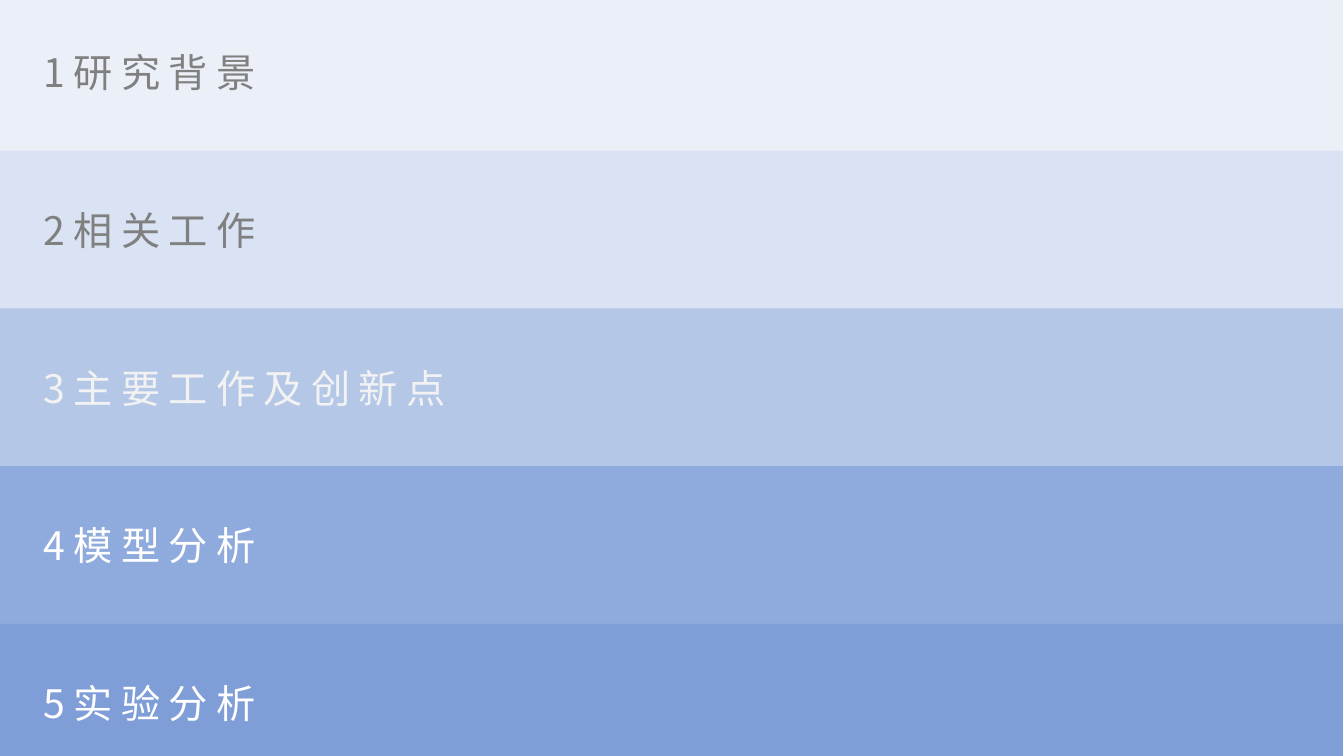
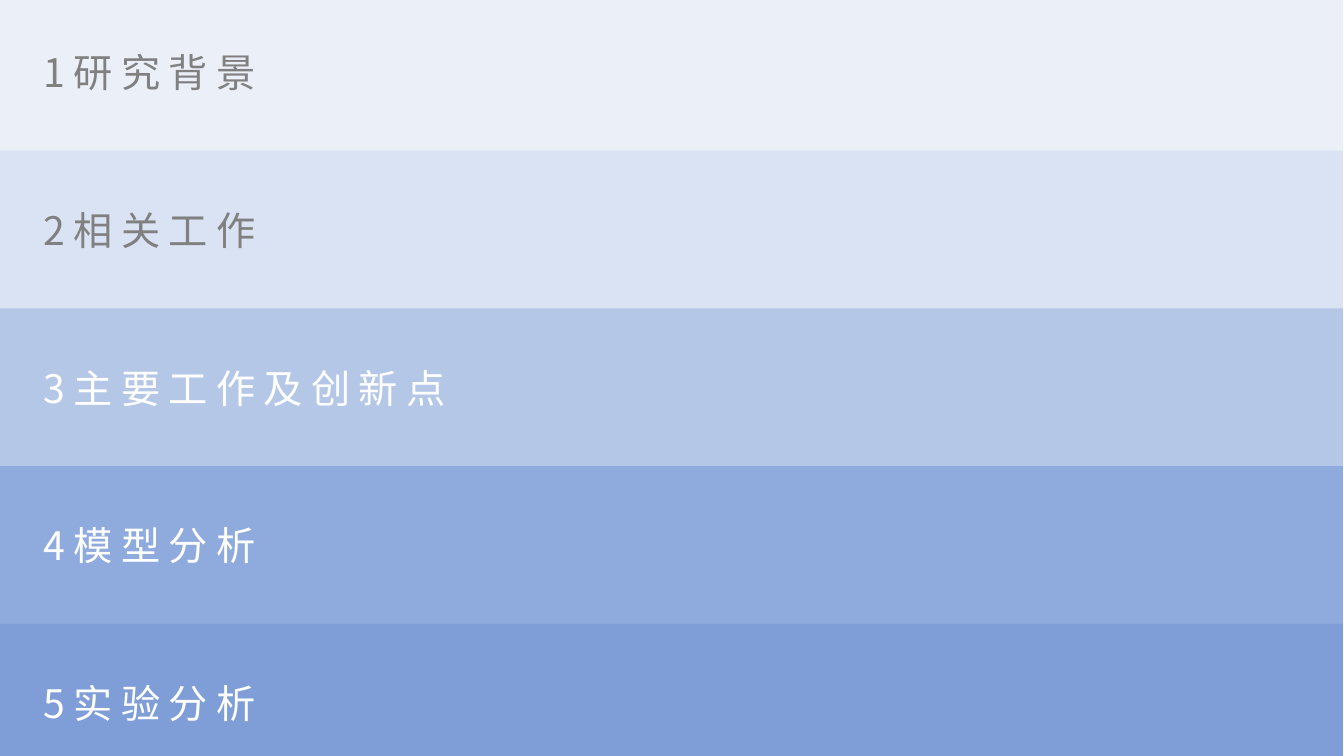
import lxml.etree
import pptx
import pptx.dml.color
import pptx.enum.shapes
import pptx.enum.text
import pptx.oxml.ns
import pptx.util

Inches = pptx.util.Inches

COLORS = {
    "band_1": "EBEFF8",
    "band_2": "DAE3F3",
    "band_3": "B4C7E7",
    "band_4": "8FAADC",
    "band_5": "7F9ED7",
    "gray": "808080",
    "light_gray": "F2F2F2",
    "white": "FFFFFF",
}
FONT_NAME = "Noto Sans CJK SC"
LETTER_SPACING = 6
LABEL_FORMAT = {"size": pptx.util.Pt(28), "name": FONT_NAME}
FRAME_FORMAT = {
    "word_wrap": True,
    "vertical_anchor": pptx.enum.text.MSO_ANCHOR.MIDDLE,
    "margin_left": Inches(0.44),
}

SECTIONS = ["研究背景", "相关工作", "主要工作及创新点", "模型分析", "实验分析"]
# One label colour per section, for each slide.
AGENDA_SLIDES = [
    ["gray", "gray", "light_gray", "white", "white"],
    ["gray", "gray", "white", "white", "white"],
]

SLIDE_WIDTH, SLIDE_HEIGHT = 13.33, 7.5
BAND_LEFT, BAND_HEIGHT = -0.01, 1.57
FIRST_TOP, LAST_TOP = -0.07, 6.19
BAND_STEP = (LAST_TOP - FIRST_TOP) / (len(SECTIONS) - 1)


def rgb(color_name):
    return pptx.dml.color.RGBColor.from_string(COLORS[color_name])


def apply_format(target, values):
    for name, value in values.items():
        setattr(target, name, value)


def format_label(run, color_name):
    apply_format(run.font, LABEL_FORMAT)
    run.font.color.rgb = rgb(color_name)
    properties = run._r.get_or_add_rPr()
    properties.set("spc", str(LETTER_SPACING * 100))
    east_asian = lxml.etree.SubElement(properties, pptx.oxml.ns.qn("a:ea"))
    east_asian.set("typeface", FONT_NAME)


def add_band(slide, number, title, label_color):
    shape = slide.shapes.add_shape(
        pptx.enum.shapes.MSO_SHAPE.RECTANGLE,
        Inches(BAND_LEFT),
        Inches(FIRST_TOP + (number - 1) * BAND_STEP),
        Inches(SLIDE_WIDTH),
        Inches(BAND_HEIGHT),
    )
    shape.name = f"Section {number}"
    shape.shadow.inherit = False
    shape.fill.solid()
    shape.fill.fore_color.rgb = rgb(f"band_{number}")
    shape.line.fill.background()
    apply_format(shape.text_frame, FRAME_FORMAT)
    paragraph = shape.text_frame.paragraphs[0]
    paragraph.alignment = pptx.enum.text.PP_ALIGN.LEFT
    run = paragraph.add_run()
    run.text = f"{number}{title}"
    format_label(run, label_color)


def add_agenda_slide(presentation, label_colors):
    blank_layout = presentation.slide_layouts.get_by_name("Blank")
    slide = presentation.slides.add_slide(blank_layout)
    for number, (title, color) in enumerate(zip(SECTIONS, label_colors), start=1):
        add_band(slide, number, title, color)


def main():
    presentation = pptx.Presentation()
    presentation.slide_width = Inches(SLIDE_WIDTH)
    presentation.slide_height = Inches(SLIDE_HEIGHT)
    for label_colors in AGENDA_SLIDES:
        add_agenda_slide(presentation, label_colors)
    presentation.save("out.pptx")


if __name__ == "__main__":
    main()
